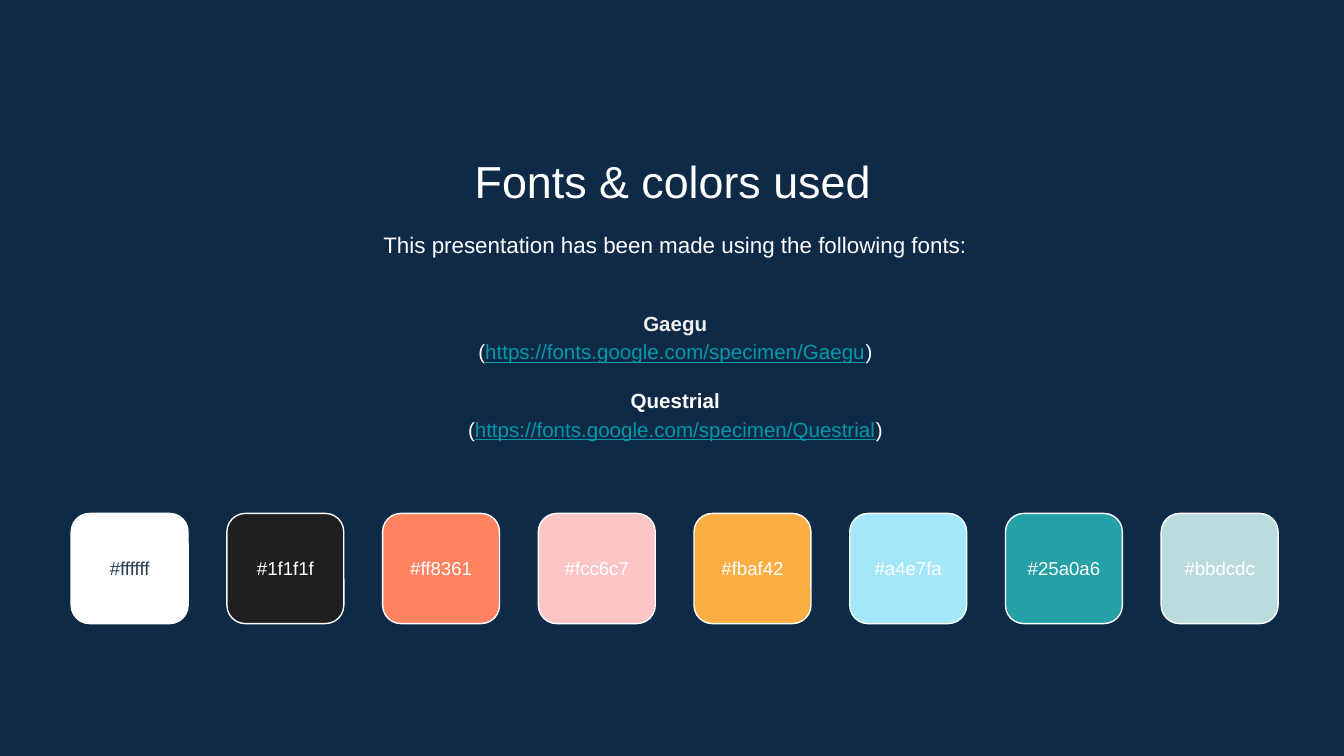
from pptx import Presentation
from pptx import util as u
from pptx.dml.color import RGBColor
from pptx.enum import shapes, text
from pptx.oxml.ns import qn

FONT = "Arial"
WHITE = "FFFFFF"
LINK = "0097A7"
SLIDE_WIDTH = 10
SLIDE_HEIGHT = SLIDE_WIDTH * 9 / 16
SWATCHES = ["ffffff", "1f1f1f", "ff8361", "fcc6c7",
            "fbaf42", "a4e7fa", "25a0a6", "bbdcdc"]
# Swatch row: first and last left edge, cell size
ROW_LEFT, ROW_END, ROW_TOP = 0.53, 8.64, 3.82
PITCH = (ROW_END - ROW_LEFT) / (len(SWATCHES) - 1)
CELL_WIDTH, CELL_HEIGHT = 0.87, 0.82
LABEL_TOP, LABEL_HEIGHT = 3.99, 0.48


def color(value):
    return RGBColor.from_string(value.upper())


def add_run(paragraph, words, size, hue=WHITE, bold=False, underline=False):
    run = paragraph.add_run()
    run.text = words
    font = run.font
    font.name, font.size = FONT, u.Pt(size)
    font.bold, font.underline = bold, underline
    font.color.rgb = color(hue)


def prepare_frame(shape, anchor):
    frame = shape.text_frame
    frame.word_wrap = True
    frame.auto_size = text.MSO_AUTO_SIZE.NONE
    frame.vertical_anchor = anchor
    frame.margin_left = frame.margin_right = u.Inches(0.1)
    frame.margin_top = frame.margin_bottom = u.Inches(0.1)
    return frame


def format_paragraph(paragraph, spacing=1.0, before=0):
    paragraph.alignment = text.PP_ALIGN.CENTER
    paragraph.line_spacing = spacing
    paragraph.space_before = u.Pt(before)
    paragraph.space_after = u.Pt(0)


def remove_bullet(paragraph):
    properties = paragraph._p.get_or_add_pPr()
    properties.set("marL", "0")
    properties.set("indent", "0")
    properties.append(properties.makeelement(qn("a:buNone"), {}))


def place(shape, left, top, width, height):
    shape.left, shape.top = u.Inches(left), u.Inches(top)
    shape.width, shape.height = u.Inches(width), u.Inches(height)


def add_title(slide):
    title = slide.shapes.title
    place(title, 1.15, 1.04, 7.71, 0.53)
    paragraph = prepare_frame(title, text.MSO_ANCHOR.TOP).paragraphs[0]
    format_paragraph(paragraph)
    add_run(paragraph, "Fonts & colors used", 24)


def add_intro(placeholder):
    place(placeholder, 1.17, 1.59, 7.71, 0.48)
    paragraph = prepare_frame(placeholder, text.MSO_ANCHOR.TOP).paragraphs[0]
    format_paragraph(paragraph, 1.15)
    remove_bullet(paragraph)
    add_run(paragraph,
            "This presentation has been made using the following fonts:", 12)


def add_font_list(placeholder):
    place(placeholder, 1.17, 2.1, 7.71, 1.37)
    frame = prepare_frame(placeholder, text.MSO_ANCHOR.MIDDLE)
    fonts = [("Gaegu", "EFEFEF", 0), ("Questrial", WHITE, 11)]
    for index, (name, hue, before) in enumerate(fonts):
        heading = frame.add_paragraph() if index else frame.paragraphs[0]
        format_paragraph(heading, 1.15, before)
        remove_bullet(heading)
        add_run(heading, name, 11, hue, bold=True)

        address = frame.add_paragraph()
        format_paragraph(address, 1.15)
        remove_bullet(address)
        add_run(address, "(", 11)
        add_run(address, "https://fonts.google.com/specimen/" + name, 11,
                LINK, underline=True)
        add_run(address, ")", 11)


def add_swatch(slide, column, fill):
    left = ROW_LEFT + column * PITCH
    swatch = slide.shapes.add_shape(
        shapes.MSO_SHAPE.ROUNDED_RECTANGLE, u.Inches(left), u.Inches(ROW_TOP),
        u.Inches(CELL_WIDTH), u.Inches(CELL_HEIGHT))
    swatch.shadow.inherit = False
    swatch.fill.solid()
    swatch.fill.fore_color.rgb = color(fill)
    swatch.line.color.rgb = color(WHITE)
    swatch.line.width = u.Pt(0.75)

    label = slide.shapes.add_textbox(
        u.Inches(left), u.Inches(LABEL_TOP),
        u.Inches(CELL_WIDTH), u.Inches(LABEL_HEIGHT))
    paragraph = prepare_frame(label, text.MSO_ANCHOR.MIDDLE).paragraphs[0]
    format_paragraph(paragraph)
    add_run(paragraph, "#" + fill, 10,
            "233C4F" if fill == "ffffff" else WHITE)


def main():
    presentation = Presentation()
    presentation.slide_width = u.Inches(SLIDE_WIDTH)
    presentation.slide_height = u.Inches(SLIDE_HEIGHT)

    # Layout with a title and two body placeholders
    slide = presentation.slides.add_slide(presentation.slide_layouts[3])
    slide.background.fill.solid()
    slide.background.fill.fore_color.rgb = color("0E2A47")

    # Title and font list
    add_title(slide)
    add_intro(slide.placeholders[1])
    add_font_list(slide.placeholders[2])

    # Color palette
    for column, fill in enumerate(SWATCHES):
        add_swatch(slide, column, fill)

    presentation.save("out.pptx")


if __name__ == "__main__":
    main()
